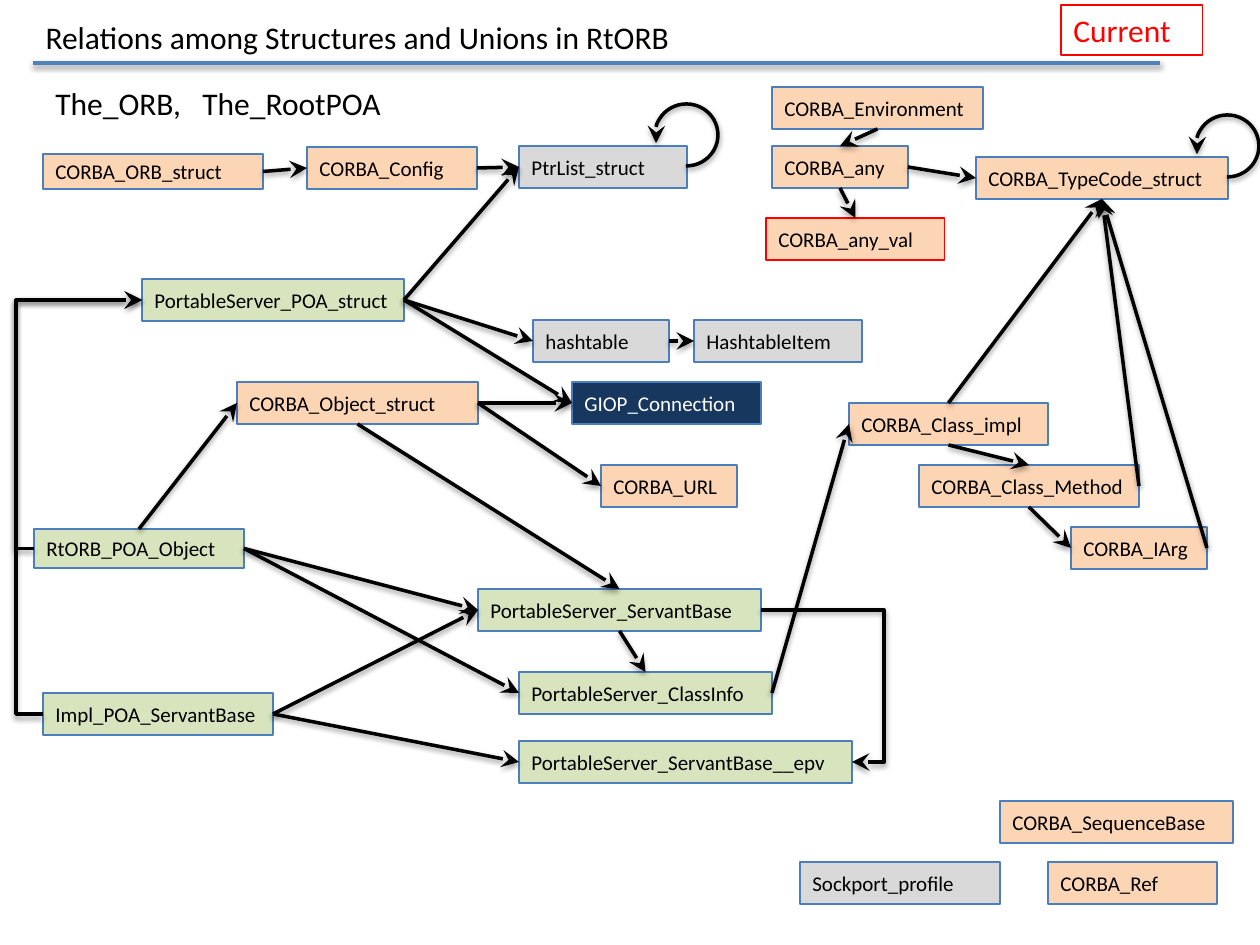
import pptx
import pptx.util
import pptx.dml.color
import pptx.enum.shapes
import pptx.enum.text
import pptx.oxml
import pptx.oxml.ns
from lxml import etree

PX = 914400 // 126
theme = {
    "font": "Calibri", "head": 18, "body": 12, "thin": 0.75, "thick": 2,
    "black": "000000", "white": "FFFFFF", "red": "FF0000",
    "edge": "4B7EBC", "rule": "4F81BD",
    "peach": "FCD5B5", "green": "D7E4BD", "gray": "D9D9D9", "navy": "17375E",
}
SHADOW = (
    f'<a:effectLst {pptx.oxml.ns.nsdecls("a")}>'
    '<a:outerShdw blurRad="40000" dist="20000" dir="5400000" rotWithShape="0">'
    '<a:srgbClr val="000000"><a:alpha val="38000"/></a:srgbClr>'
    '</a:outerShdw></a:effectLst>'
)
rgb = pptx.dml.color.RGBColor.from_string
qn = pptx.oxml.ns.qn
kinds = pptx.enum.shapes.MSO_SHAPE
straight = pptx.enum.shapes.MSO_CONNECTOR.STRAIGHT
anchors = pptx.enum.text.MSO_ANCHOR
fits = pptx.enum.text.MSO_AUTO_SIZE


def write(shape, words, size, color, anchor, wrap=True, fit=fits.NONE):
    """Put one left-aligned line of text into a shape."""
    frame = shape.text_frame
    frame.text = words
    frame.word_wrap = wrap
    frame.auto_size = fit
    frame.vertical_anchor = anchor
    para = frame.paragraphs[0]
    para.alignment = pptx.enum.text.PP_ALIGN.LEFT
    para.font.name = theme["font"]
    para.font.size = pptx.util.Pt(size)
    para.font.color.rgb = rgb(color)


def stroke(shape, color, end=None):
    """Draw a thick line with a soft shadow and perhaps an arrowhead."""
    shape.line.color.rgb = rgb(color)
    shape.line.width = pptx.util.Pt(theme["thick"])
    props = shape.element.spPr
    if end:
        etree.SubElement(props.find(qn("a:ln")), qn(end),
                         type="stealth", w="lg", len="lg")
    for old in props.findall(qn("a:effectLst")):
        props.remove(old)
    props.append(pptx.oxml.parse_xml(SHADOW))


deck = pptx.Presentation()
deck.slide_width = 1260 * PX
deck.slide_height = 945 * PX
slide = deck.slides.add_slide(deck.slide_layouts[5])
shapes = slide.shapes

# Headings
title = shapes.title
title.left, title.top, title.width, title.height = [v * PX for v in (33, 12, 656, 50)]
write(title, "Relations among Structures and Unions in RtORB", theme["head"],
      theme["black"], anchors.TOP, False, fits.SHAPE_TO_FIT_TEXT)

roots = shapes.add_textbox(*[v * PX for v in (43, 78, 354, 50)])
write(roots, "The_ORB,\tThe_RootPOA", theme["head"], theme["black"],
      anchors.TOP, False, fits.SHAPE_TO_FIT_TEXT)
props = roots.text_frame.paragraphs[0]._p.get_or_add_pPr()
tabs = pptx.oxml.parse_xml(
    f'<a:tabLst {pptx.oxml.ns.nsdecls("a")}><a:tab pos="{147 * PX}" algn="l"/></a:tabLst>')
props.insert_element_before(tabs, "a:defRPr", "a:extLst")

rule = shapes.add_connector(straight, 33 * PX, 63 * PX, 1160 * PX, 63 * PX)
stroke(rule, theme["rule"])

state = shapes.add_shape(kinds.RECTANGLE, *[v * PX for v in (1061, 5, 142, 50)])
state.shadow.inherit = False
state.fill.background()
state.line.color.rgb = rgb(theme["red"])
state.line.width = pptx.util.Pt(theme["thin"])
write(state, "Current", theme["head"], theme["red"], anchors.TOP,
      fit=fits.SHAPE_TO_FIT_TEXT)

# Structures: name, left, top, width, height
tall = 42
groups = {
    "peach": [
        ("CORBA_any", 772, 146, 136, tall),
        ("CORBA_Config", 307, 147, 170, tall),
        ("CORBA_Object_struct", 237, 382, 241, tall),
        ("CORBA_ORB_struct", 43, 154, 220, 35),
        ("CORBA_any_val", 766, 218, 179, tall),
        ("CORBA_IArg", 1071, 527, 136, tall),
        ("CORBA_Class_Method", 919, 465, 220, tall),
        ("CORBA_Class_impl", 849, 403, 199, tall),
        ("CORBA_URL", 601, 465, 136, tall),
        ("CORBA_Ref", 1048, 862, 169, tall),
        ("CORBA_Environment", 772, 87, 211, tall),
        ("CORBA_TypeCode_struct", 976, 157, 252, tall),
        ("CORBA_SequenceBase", 1000, 801, 233, tall),
    ],
    "green": [
        ("PortableServer_ServantBase__epv", 519, 741, 333, tall),
        ("PortableServer_ServantBase", 478, 589, 283, tall),
        ("Impl_POA_ServantBase", 43, 693, 230, tall),
        ("PortableServer_ClassInfo", 519, 672, 253, tall),
        ("RtORB_POA_Object", 34, 529, 210, 39),
        ("PortableServer_POA_struct", 142, 279, 262, tall),
    ],
    "gray": [
        ("HashtableItem", 694, 320, 168, tall),
        ("hashtable", 533, 320, 136, tall),
        ("PtrList_struct", 519, 146, 168, tall),
        ("Sockport_profile", 800, 862, 200, tall),
    ],
    "navy": [("GIOP_Connection", 572, 382, 189, tall)],
}
boxes = {}
for tint, rows in groups.items():
    for name, *place in rows:
        box = shapes.add_shape(kinds.RECTANGLE, *[v * PX for v in place])
        box.shadow.inherit = False
        box.fill.solid()
        box.fill.fore_color.rgb = rgb(theme[tint])
        edge = "red" if name == "CORBA_any_val" else "edge"
        box.line.color.rgb = rgb(theme[edge])
        box.line.width = pptx.util.Pt(theme["thin"])
        ink = "white" if tint == "navy" else "black"
        write(box, name, theme["body"], theme[ink], anchors.MIDDLE)
        boxes[name] = box

# Straight arrows, grouped by the sides they leave and enter
TOP, LEFT, BOTTOM, RIGHT = range(4)
links = {
    (RIGHT, LEFT): [
        ("CORBA_ORB_struct", "CORBA_Config"),
        ("CORBA_Config", "PtrList_struct"),
        ("CORBA_any", "CORBA_TypeCode_struct"),
        ("CORBA_Object_struct", "CORBA_URL"),
        ("CORBA_Object_struct", "GIOP_Connection"),
        ("RtORB_POA_Object", "PortableServer_ClassInfo"),
        ("RtORB_POA_Object", "PortableServer_ServantBase"),
        ("Impl_POA_ServantBase", "PortableServer_ServantBase__epv"),
        ("Impl_POA_ServantBase", "PortableServer_ServantBase"),
        ("PortableServer_ClassInfo", "CORBA_Class_impl"),
        ("hashtable", "HashtableItem"),
        ("PortableServer_POA_struct", "hashtable"),
        ("PortableServer_POA_struct", "GIOP_Connection"),
        ("PortableServer_POA_struct", "PtrList_struct"),
    ],
    (BOTTOM, TOP): [
        ("CORBA_Environment", "CORBA_any"),
        ("CORBA_any", "CORBA_any_val"),
        ("CORBA_Class_impl", "CORBA_Class_Method"),
        ("CORBA_Object_struct", "PortableServer_ServantBase"),
        ("PortableServer_ServantBase", "PortableServer_ClassInfo"),
    ],
    (TOP, BOTTOM): [("CORBA_Class_impl", "CORBA_TypeCode_struct")],
    (RIGHT, BOTTOM): [
        ("CORBA_Class_Method", "CORBA_TypeCode_struct"),
        ("CORBA_IArg", "CORBA_TypeCode_struct"),
    ],
    (BOTTOM, LEFT): [("CORBA_Class_Method", "CORBA_IArg")],
    (TOP, LEFT): [("RtORB_POA_Object", "CORBA_Object_struct")],
}
for (leave, enter), pairs in links.items():
    for owner, member in pairs:
        arrow = shapes.add_connector(straight, 0, 0, 0, 0)
        arrow.begin_connect(boxes[owner], leave)
        arrow.end_connect(boxes[member], enter)
        stroke(arrow, theme["black"], "a:tailEnd")

# Bent arrows go around the boxes in between: owner, member, side, lane
bends = [
    ("RtORB_POA_Object", "PortableServer_POA_struct", LEFT, 16),
    ("Impl_POA_ServantBase", "PortableServer_POA_struct", LEFT, 16),
    ("PortableServer_ServantBase", "PortableServer_ServantBase__epv", RIGHT, 884),
]
for owner, member, side, lane in bends:
    ends = []
    for box in (boxes[owner], boxes[member]):
        across = box.left + (box.width if side == RIGHT else 0)
        ends.append((across, box.top + box.height // 2))
    start, stop = ends
    draft = shapes.build_freeform(*start)
    draft.add_line_segments([(lane * PX, start[1]), (lane * PX, stop[1]), stop], close=False)
    bend = draft.convert_to_shape()
    bend.fill.background()
    stroke(bend, theme["black"], "a:tailEnd")

# Structures that refer to themselves
for name in ("PtrList_struct", "CORBA_TypeCode_struct"):
    box = boxes[name]
    loop = shapes.add_shape(kinds.ARC, box.left + box.width - 32 * PX,
                            box.top - 42 * PX, 63 * PX, 62 * PX)
    loop.adjustments[0] = 165 * 0.6
    loop.adjustments[1] = 91 * 0.6
    loop.fill.background()
    stroke(loop, theme["black"], "a:headEnd")

deck.save("out.pptx")
